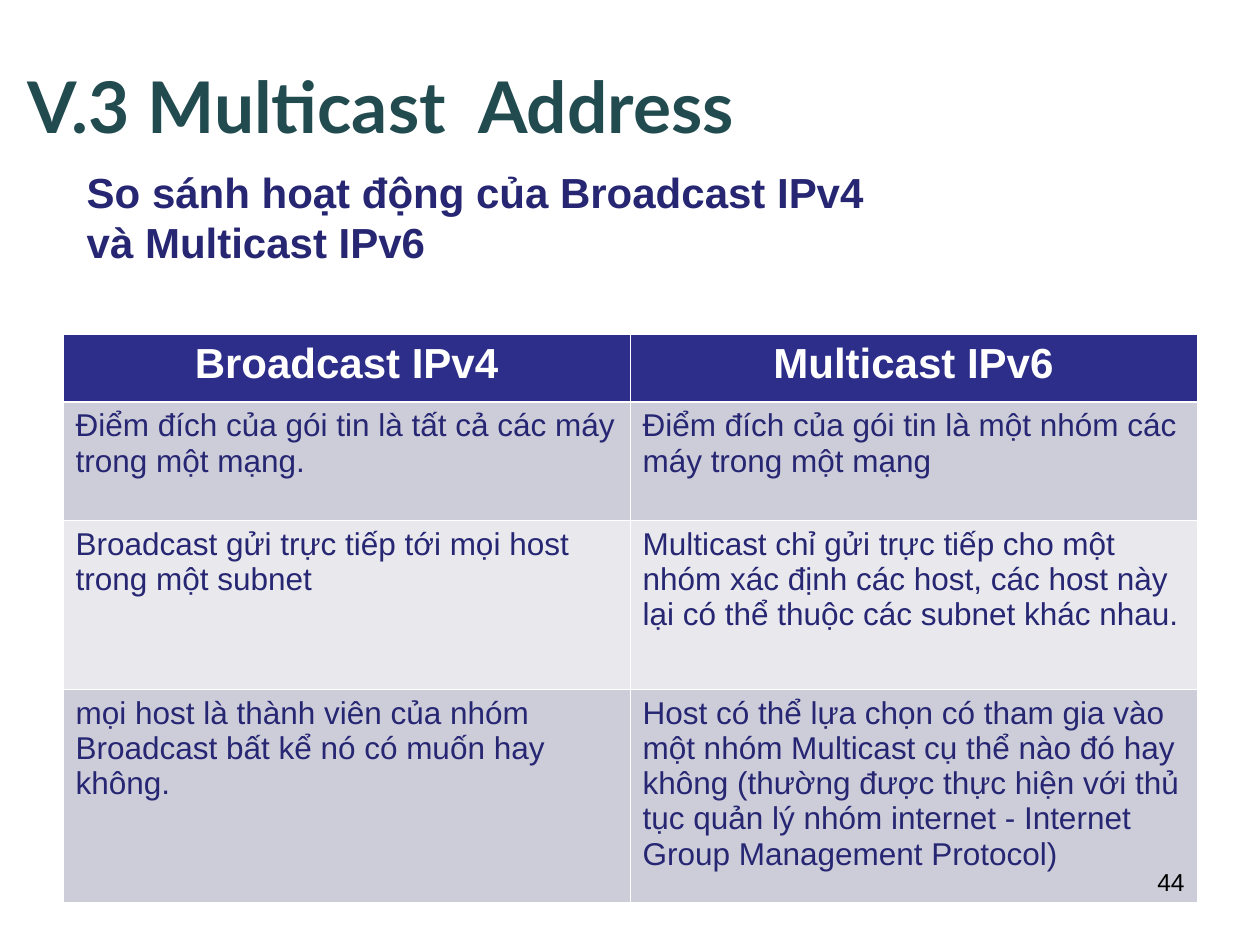
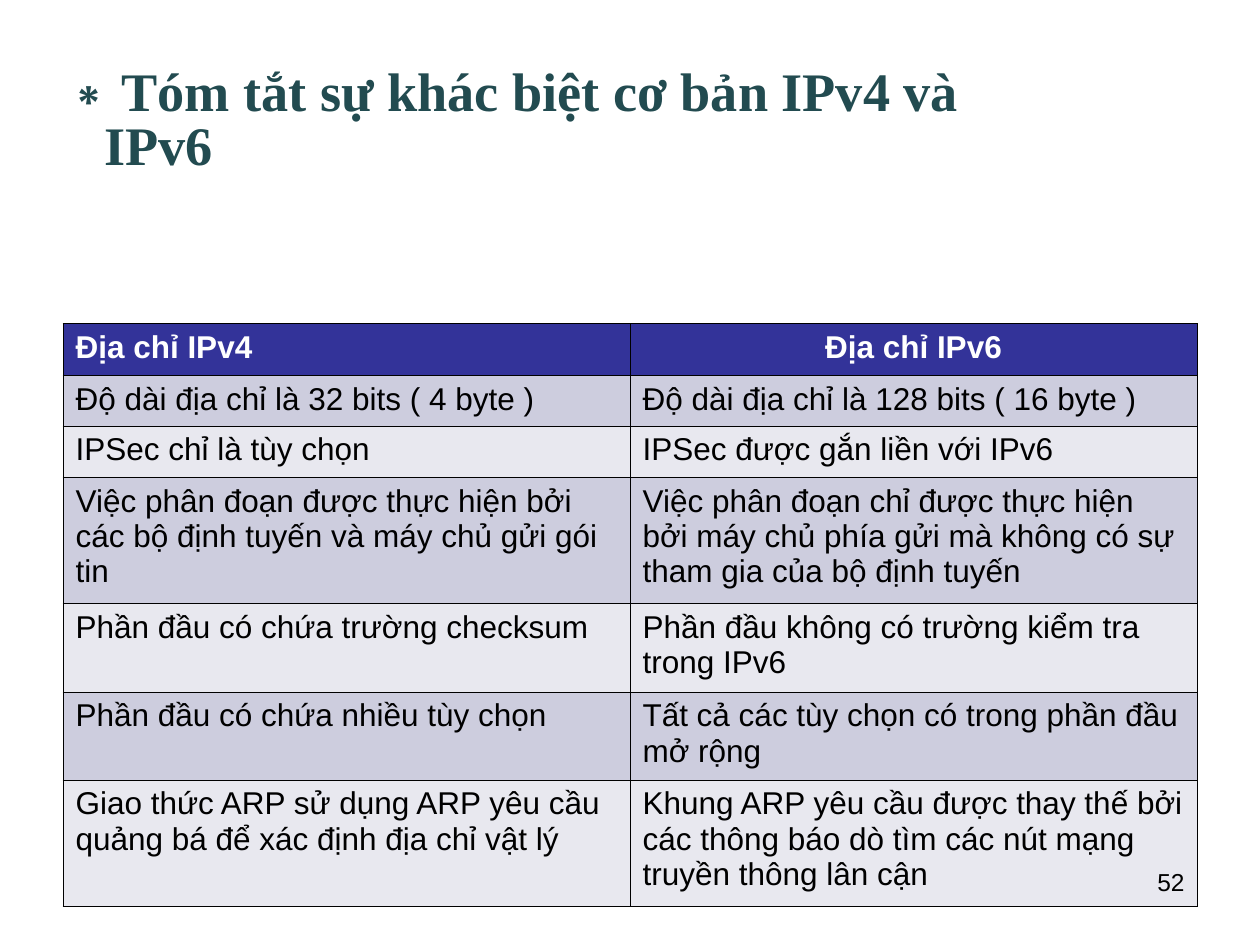
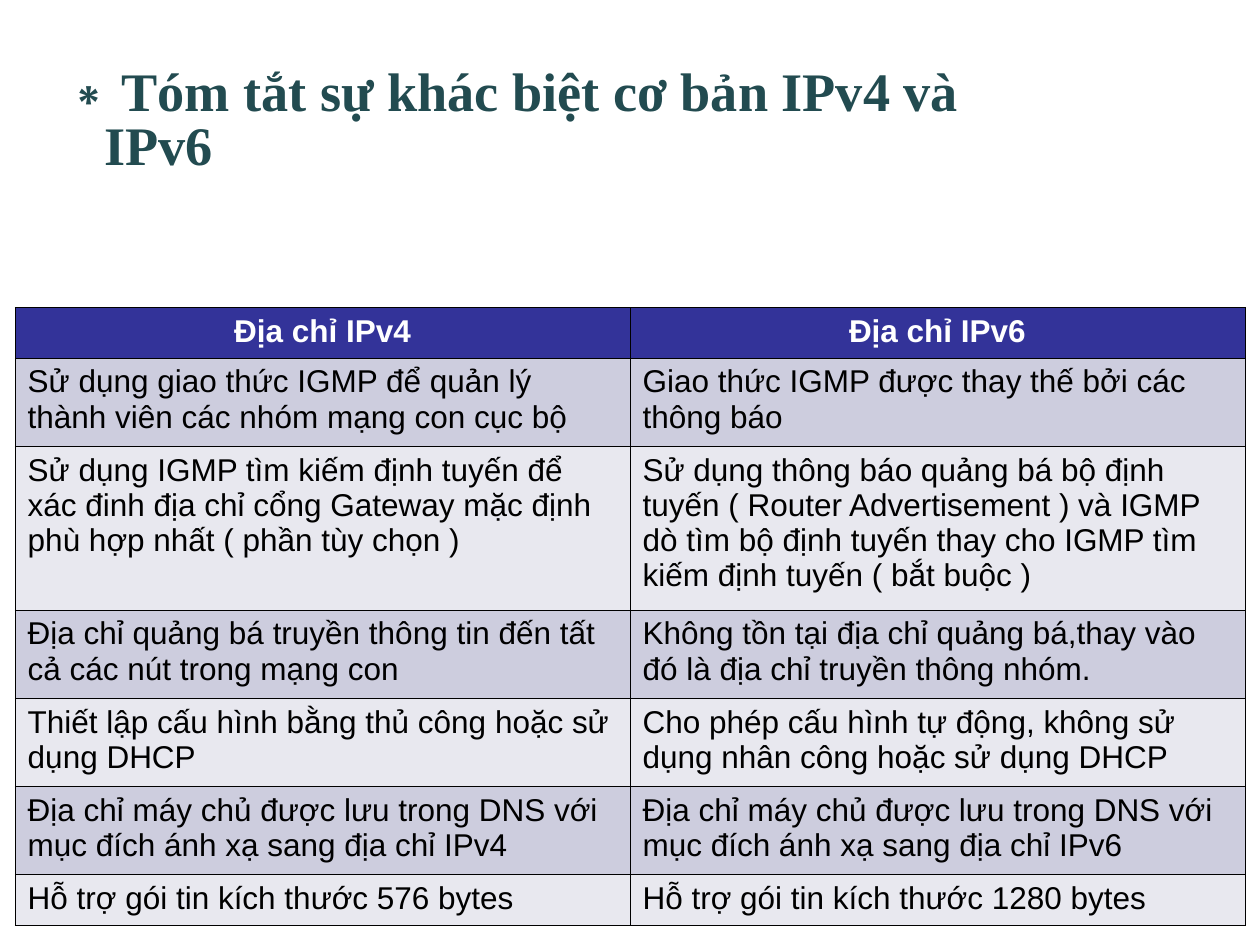
from lxml import etree
from pptx import Presentation
from pptx.dml.color import RGBColor
from pptx.enum.text import PP_ALIGN
from pptx.oxml.ns import qn
from pptx.util import Inches, Pt

LEFT, CENTER, RIGHT = PP_ALIGN.LEFT, PP_ALIGN.CENTER, PP_ALIGN.RIGHT
BLANK_LAYOUT = 6
HANGING = 0.38
THIN, THICK = 0.45, 1.47
COLORS = {
    "title": "224B50", "navy": "262673", "black": "000000", "white": "FFFFFF",
}
# Table looks: header fill, the two band fills, body text, border colour
SOFT_TABLE = {"header": "2D2D8A", "bands": ("CDCDDA", "E8E8ED"), "text": "navy",
              "border": "white", "header_size": 24, "header_line": THICK}
GRID_TABLE = {"header": "333399", "bands": ("CDCDDE", "E8E8EF"), "text": "black",
              "border": "black", "header_size": 18, "header_line": THIN}

BROADCAST_ROWS = [
    ("Broadcast IPv4", "Multicast IPv6"),
    ("Điểm đích của gói tin là tất cả các máy trong một mạng.",
     "Điểm đích của gói tin là một nhóm các máy trong một mạng"),
    ("Broadcast gửi trực tiếp tới mọi host trong một subnet",
     "Multicast chỉ gửi trực tiếp cho một nhóm xác định các host, các host này "
     "lại có thể thuộc các subnet khác nhau."),
    ("mọi host là thành viên của nhóm Broadcast bất kể nó có muốn hay không.",
     "Host có thể lựa chọn có tham gia vào một nhóm Multicast cụ thể nào đó hay "
     "không (thường được thực hiện với thủ tục quản lý nhóm internet - Internet "
     "Group Management Protocol)"),
]
ADDRESS_HEADER = ("Địa chỉ IPv4", "Địa chỉ IPv6")
ADDRESS_ROWS = [
    ADDRESS_HEADER,
    ("Độ dài địa chỉ là 32 bits ( 4 byte )",
     "Độ dài địa chỉ là 128 bits ( 16 byte )"),
    ("IPSec chỉ là tùy chọn", "IPSec được gắn liền với IPv6"),
    ("Việc phân đoạn được thực hiện bởi các bộ định tuyến và máy chủ gửi gói tin",
     "Việc phân đoạn chỉ được thực hiện bởi máy chủ phía gửi mà không có sự tham "
     "gia của bộ định tuyến"),
    ("Phần đầu có chứa trường checksum",
     "Phần đầu không có trường kiểm tra trong IPv6"),
    ("Phần đầu có chứa nhiều tùy chọn",
     "Tất cả các tùy chọn có trong phần đầu mở rộng"),
    ("Giao thức ARP sử dụng ARP yêu cầu quảng bá để xác định địa chỉ vật lý",
     "Khung ARP yêu cầu được thay thế bởi các thông báo dò tìm các nút mạng "
     "truyền thông lân cận"),
]
PROTOCOL_ROWS = [
    ADDRESS_HEADER,
    ("Sử dụng giao thức IGMP để quản lý thành viên các nhóm mạng con cục bộ",
     "Giao thức IGMP được thay thế bởi các thông báo"),
    ("Sử dụng IGMP tìm kiếm định tuyến để xác đinh địa chỉ cổng Gateway mặc định "
     "phù hợp nhất ( phần tùy chọn )",
     "Sử dụng thông báo quảng bá bộ định tuyến ( Router Advertisement ) và IGMP "
     "dò tìm bộ định tuyến thay cho IGMP tìm kiếm định tuyến ( bắt buộc )"),
    ("Địa chỉ quảng bá truyền thông tin đến tất cả các nút trong mạng con",
     "Không tồn tại địa chỉ quảng bá,thay vào đó là địa chỉ truyền thông nhóm."),
    ("Thiết lập cấu hình bằng thủ công hoặc sử dụng DHCP",
     "Cho phép cấu hình tự động, không sử dụng nhân công hoặc sử dụng DHCP"),
    ("Địa chỉ máy chủ được lưu trong DNS với mục đích ánh xạ sang địa chỉ IPv4",
     "Địa chỉ máy chủ được lưu trong DNS với mục đích ánh xạ sang địa chỉ IPv6"),
    ("Hỗ trợ gói tin kích thước 576 bytes", "Hỗ trợ gói tin kích thước 1280 bytes"),
]


def rgb(color):
    return RGBColor.from_string(COLORS.get(color, color))


def style_font(font, size, color, bold=False, name="Arial"):
    font.name, font.size, font.bold = name, Pt(size), bold
    font.color.rgb = rgb(color)


def set_border(cell, side, color, width):
    """Draw one cell side: L, R, T or B. Call it before filling the cell."""
    properties = cell._tc.get_or_add_tcPr()
    line = etree.SubElement(properties, qn(f"a:ln{side}"), w=str(Pt(width)))
    fill = etree.SubElement(line, qn("a:solidFill"))
    etree.SubElement(fill, qn("a:srgbClr"), val=COLORS[color])


class Deck:
    def __init__(self):
        self.presentation = Presentation()
        self.presentation.slide_width = Inches(10)
        self.presentation.slide_height = Inches(7.5)
        self.slide = None

    def new_slide(self):
        layout = self.presentation.slide_layouts[BLANK_LAYOUT]
        self.slide = self.presentation.slides.add_slide(layout)

    def text(self, box, runs, align=LEFT, hanging=0, line_spacing=1.0):
        """Add one paragraph; runs holds (text, font settings) pairs."""
        shape = self.slide.shapes.add_textbox(*map(Inches, box))
        shape.text_frame.word_wrap = True
        paragraph = shape.text_frame.paragraphs[0]
        paragraph.alignment = align
        paragraph.line_spacing = line_spacing
        if hanging:
            properties = paragraph._p.get_or_add_pPr()
            properties.set("marL", str(Inches(hanging)))
            properties.set("indent", str(-Inches(hanging)))
        for content, settings in runs:
            run = paragraph.add_run()
            run.text = content
            style_font(run.font, **settings)

    def title(self, content):
        settings = {"size": 40.7, "color": "title", "bold": True, "name": "Lato"}
        self.text((0.12, 0.52, 6.85, 0.87), [(content, settings)],
                  hanging=HANGING, line_spacing=0.9)

    def starred_title(self, content):
        star = {"size": 37.2, "color": "title", "bold": True}
        words = {**star, "size": 31, "name": "Times New Roman"}
        self.text((0.35, 0.44, 8.27, 0.87), [("∗", star), (content, words)],
                  hanging=HANGING, line_spacing=0.8)

    def subtitle(self, content):
        settings = {"size": 24, "color": "navy", "bold": True}
        self.text((0.59, 1.27, 6.46, 0.9), [(content, settings)])

    def page_number(self, number):
        settings = {"size": 14, "color": "black"}
        self.text((7.17, 6.83, 2.33, 0.52), [(str(number), settings)],
                  align=RIGHT, hanging=HANGING)

    def table(self, left, top, width, heights, rows, look,
              header_aligns=(CENTER, CENTER)):
        columns = len(rows[0])
        table = self.slide.shapes.add_table(
            len(rows), columns, Inches(left), Inches(top),
            Inches(width), Inches(sum(heights))).table
        for column in table.columns:
            column.width = Inches(width / columns)
        for row_index, (height, contents) in enumerate(zip(heights, rows)):
            table.rows[row_index].height = Inches(height)
            for column_index, content in enumerate(contents):
                align = LEFT if row_index else header_aligns[column_index]
                self.cell(table.cell(row_index, column_index), content,
                          row_index, align, look)

    def cell(self, cell, content, row_index, align, look):
        is_header = row_index == 0
        widths = {"L": THIN, "R": THIN,
                  "T": look["header_line"] if row_index == 1 else THIN,
                  "B": look["header_line"] if is_header else THIN}
        for side, width in widths.items():
            set_border(cell, side, look["border"], width)
        cell.fill.solid()
        band = look["bands"][(row_index - 1) % 2]
        cell.fill.fore_color.rgb = rgb(look["header"] if is_header else band)
        cell.text_frame.text = content
        paragraph = cell.text_frame.paragraphs[0]
        paragraph.alignment = align
        style_font(paragraph.runs[0].font,
                   look["header_size"] if is_header else 18,
                   "white" if is_header else look["text"], is_header)


def main():
    deck = Deck()
    summary_title = "Tóm tắt sự khác biệt cơ bản IPv4 và IPv6"

    deck.new_slide()
    deck.table(0.5, 2.65, 9, (0.54, 0.94, 1.34, 1.69), BROADCAST_ROWS, SOFT_TABLE)
    deck.title("V.3 Multicast  Address")
    deck.subtitle("So sánh hoạt động của Broadcast IPv4 và Multicast IPv6")
    deck.page_number(44)

    deck.new_slide()
    deck.table(0.5, 2.57, 9, (0.41, 0.4, 0.41, 1, 0.7, 0.7, 1), ADDRESS_ROWS,
               GRID_TABLE, header_aligns=(LEFT, CENTER))
    deck.page_number(52)
    deck.starred_title(summary_title)

    deck.new_slide()
    deck.starred_title(summary_title)
    deck.table(0.12, 2.44, 9.76, (0.4, 0.7, 1.3, 0.7, 0.7, 0.7, 0.4),
               PROTOCOL_ROWS, GRID_TABLE)

    deck.presentation.save("out.pptx")


if __name__ == "__main__":
    main()
